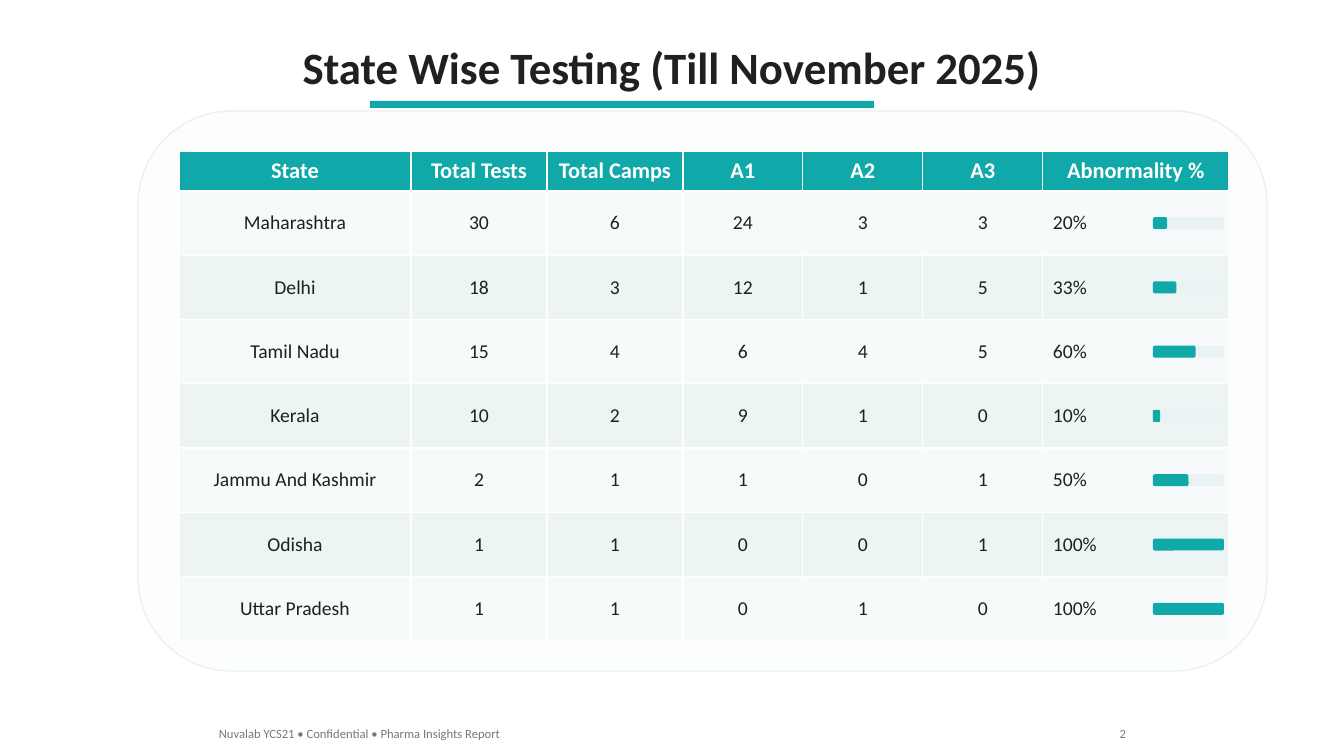
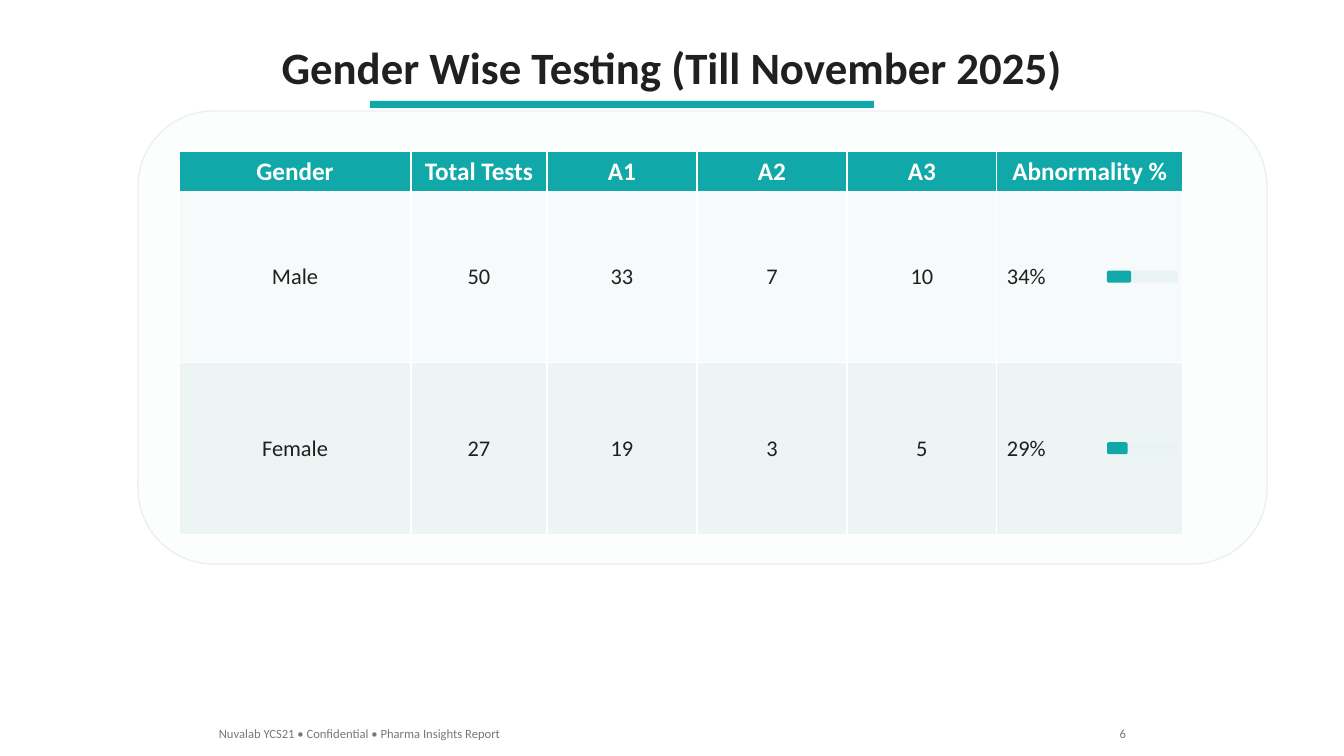
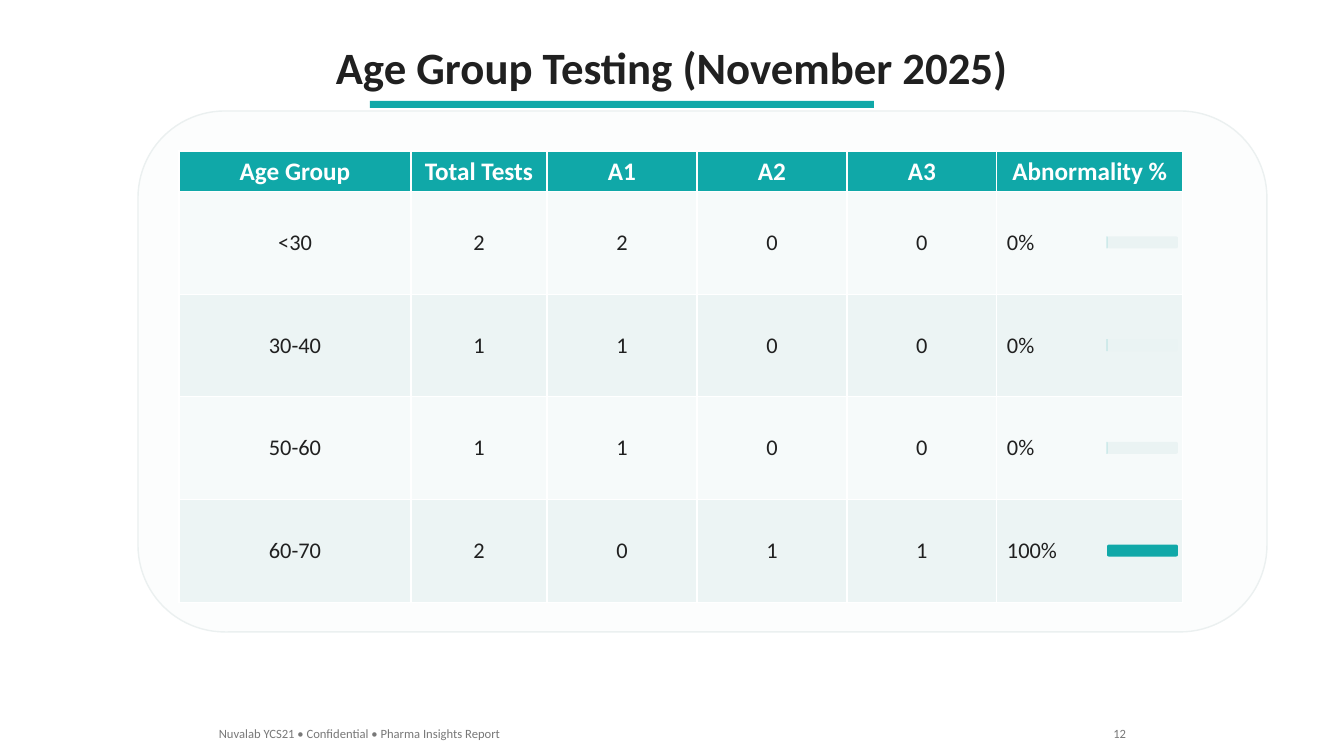
from pptx import Presentation
from pptx import util as u
from pptx.dml.color import RGBColor
from pptx.enum import shapes, text

PX = 914400 / 100.8
FONT = "Calibri"
TEAL = RGBColor(0x10, 0xA8, 0xA8)
INK = RGBColor(0x20, 0x20, 0x20)
GREY = RGBColor(0x78, 0x78, 0x78)
WHITE = RGBColor(0xFF, 0xFF, 0xFF)
PANEL = RGBColor(0xFC, 0xFD, 0xFD)
EDGE = RGBColor(0xEB, 0xF0, 0xF0)
TRACK = RGBColor(0xEA, 0xF3, 0xF3)
BANDS = [RGBColor(0xF6, 0xFA, 0xFA), RGBColor(0xEC, 0xF4, 0xF4)]
FOOTER = "Nuvalab YCS21 • Confidential • Pharma Insights Report"

LEFT, TOP, HEAD = 179, 151, 40
BAR_W, BAR_H, BAR_IN = 71, 12, 76
ROUND = shapes.MSO_SHAPE.ROUNDED_RECTANGLE
RECT = shapes.MSO_SHAPE.RECTANGLE
ALIGN = text.PP_ALIGN

DECK = [
    dict(title="State Wise Testing (Till November 2025)", width=766, page="2",
         cols=[232, 136, 136, 120, 120, 120, 186], body=450, size=14,
         head=["State", "Total Tests", "Total Camps", "A1", "A2", "A3", "Abnormality %"],
         rows=[["Maharashtra", 30, 6, 24, 3, 3, 20],
               ["Delhi", 18, 3, 12, 1, 5, 33],
               ["Tamil Nadu", 15, 4, 6, 4, 5, 60],
               ["Kerala", 10, 2, 9, 1, 0, 10],
               ["Jammu And Kashmir", 2, 1, 1, 0, 1, 50],
               ["Odisha", 1, 1, 0, 0, 1, 100],
               ["Uttar Pradesh", 1, 1, 0, 1, 0, 100]]),
    dict(title="Gender Wise Testing (Till November 2025)", width=808, page="6",
         cols=[232, 136, 150, 150, 150, 186], body=343, size=16,
         head=["Gender", "Total Tests", "A1", "A2", "A3", "Abnormality %"],
         rows=[["Male", 50, 33, 7, 10, 34],
               ["Female", 27, 19, 3, 5, 29]]),
    dict(title="Age Group Testing (November 2025)", width=699, page="12",
         cols=[232, 136, 150, 150, 150, 186], body=411, size=16,
         head=["Age Group", "Total Tests", "A1", "A2", "A3", "Abnormality %"],
         rows=[["<30", 2, 2, 0, 0, 0],
               ["30-40", 1, 1, 0, 0, 0],
               ["50-60", 1, 1, 0, 0, 0],
               ["60-70", 2, 0, 1, 1, 100]]),
]


def block(slide, kind, at, fill, edge=None):
    shape = slide.shapes.add_shape(kind, *[round(v * PX) for v in at])
    shape.shadow.inherit = False
    shape.fill.solid()
    shape.fill.fore_color.rgb = fill
    if edge is None:
        shape.line.fill.background()
    else:
        shape.line.color.rgb = edge
        shape.line.width = u.Pt(1)


def write(frame, words, size, color, bold=False, align=ALIGN.LEFT):
    frame.text = words
    para = frame.paragraphs[0]
    para.alignment = align
    font = para.runs[0].font
    font.name, font.size, font.bold = FONT, u.Pt(size), bold
    font.color.rgb = color


deck = Presentation()
deck.slide_width, deck.slide_height = round(1344 * PX), round(756 * PX)

for data in DECK:
    slide = deck.slides.add_slide(deck.slide_layouts[5])
    title = slide.shapes.title
    title.left, title.top = round((672 - data["width"] / 2) * PX), round(35 * PX)
    title.width, title.height = round(data["width"] * PX), round(64 * PX)
    frame = title.text_frame
    write(frame, data["title"], 32, INK, True, ALIGN.CENTER)
    frame.word_wrap = False
    frame.auto_size = text.MSO_AUTO_SIZE.SHAPE_TO_FIT_TEXT
    frame.vertical_anchor = text.MSO_ANCHOR.TOP

    cols, rows, body = data["cols"], data["rows"], data["body"]
    block(slide, RECT, (370, 101, 504, 7), TEAL)
    block(slide, ROUND, (138, 111, 1129, HEAD + body + 70), PANEL, EDGE)

    wide, step = sum(cols), body / len(rows)
    grid = slide.shapes.add_table(
        len(rows) + 1, len(cols), round(LEFT * PX), round(TOP * PX),
        round(wide * PX), round((HEAD + body) * PX)).table
    for col, width in zip(grid.columns, cols):
        col.width = round(width * PX)
    for i, row in enumerate(grid.rows):
        row.height = round((step if i else HEAD) * PX)
    for i, line in enumerate([data["head"]] + rows):
        for j, value in enumerate(line):
            cell = grid.cell(i, j)
            cell.vertical_anchor = text.MSO_ANCHOR.MIDDLE
            cell.fill.solid()
            cell.fill.fore_color.rgb = BANDS[(i - 1) % 2] if i else TEAL
            rate = i > 0 and j == len(cols) - 1
            write(cell.text_frame, f"{value}%" if rate else str(value),
                  data["size"] if i else data["size"] + 2,
                  INK if i else WHITE, i == 0,
                  ALIGN.LEFT if rate else ALIGN.CENTER)

    left = LEFT + wide - BAR_IN
    for i, line in enumerate(rows):
        top = TOP + HEAD + (i + 0.5) * step - BAR_H / 2
        if line[-1] < 100:
            block(slide, ROUND, (left, top, BAR_W, BAR_H), TRACK)
        block(slide, ROUND, (left, top, BAR_W * line[-1] / 100, BAR_H), TEAL)

    wide = 21 + 6 * len(data["page"])
    for words, left, width, align in [(FOOTER, 209, 307, ALIGN.LEFT),
                                      (data["page"], 1136 - wide, wide, ALIGN.RIGHT)]:
        note = slide.shapes.add_textbox(
            round(left * PX), round(721 * PX), round(width * PX), round(25 * PX))
        write(note.text_frame, words, 9, GREY, False, align)
        note.text_frame.word_wrap = False
        note.text_frame.auto_size = text.MSO_AUTO_SIZE.SHAPE_TO_FIT_TEXT

deck.save("out.pptx")
